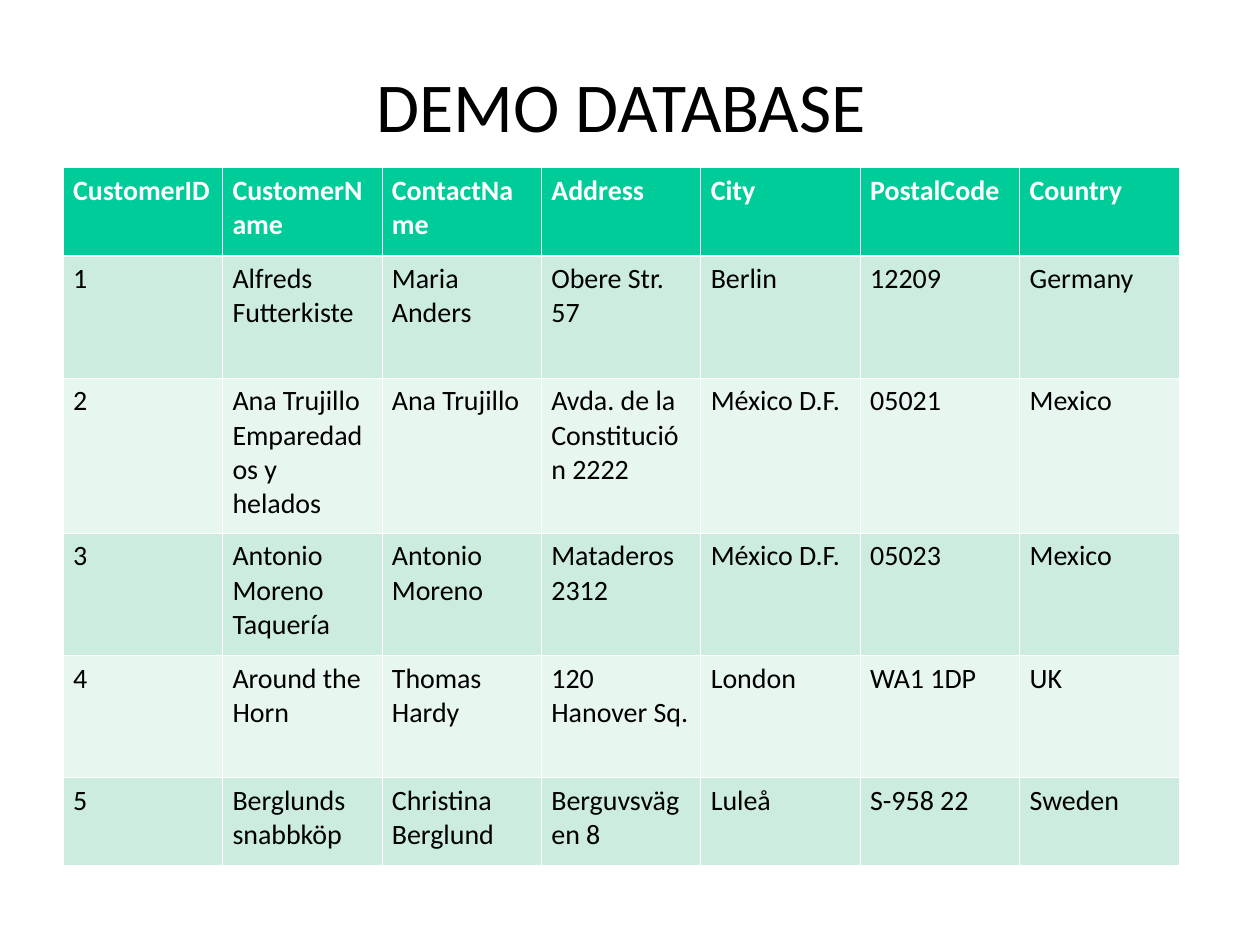
from lxml.etree import SubElement
from pptx import Presentation
from pptx.dml.color import RGBColor as RGB
from pptx.enum.text import MSO_ANCHOR as Anchor, PP_ALIGN as Align
from pptx.oxml.ns import qn
from pptx.util import Inches, Pt

TITLE = "DEMO DATABASE"
HEADER = ("CustomerID", "CustomerName", "ContactName", "Address", "City", "PostalCode", "Country")
CUSTOMERS = [
    ("1", "Alfreds Futterkiste", "Maria Anders", "Obere Str. 57", "Berlin", "12209", "Germany"),
    ("2", "Ana Trujillo Emparedados y helados", "Ana Trujillo",
     "Avda. de la Constitución 2222", "México D.F.", "05021", "Mexico"),
    ("3", "Antonio Moreno Taquería", "Antonio Moreno", "Mataderos 2312",
     "México D.F.", "05023", "Mexico"),
    ("4", "Around the Horn", "Thomas Hardy", "120 Hanover Sq.", "London", "WA1 1DP", "UK"),
    ("5", "Berglunds snabbköp", "Christina Berglund", "Berguvsvägen 8", "Luleå", "S-958 22", "Sweden"),
]
ROW_HEIGHTS = (0.7, 0.97, 1.23, 0.97, 0.97, 0.7)
LEFT, WIDTH = 0.5, 8.86
TITLE_TOP, TITLE_HEIGHT, TABLE_TOP = 0.3, 1.12, 1.33
COLORS = {"header": "00CC99", "odd": "CBECDE", "even": "E7F6EF", "white": "FFFFFF", "text": "000000"}
THIN, THICK = 0.45, 1.47
CELL = {"margin_left": Inches(0.08), "margin_right": Inches(0.08),
        "margin_top": Inches(0.05), "margin_bottom": Inches(0.05),
        "vertical_anchor": Anchor.TOP}


def style_font(font, size, color, bold=False):
    for key, value in {"name": "Calibri", "size": Pt(size), "bold": bold}.items():
        setattr(font, key, value)
    font.color.rgb = RGB.from_string(COLORS[color])


def add_border(cell, side, width):
    ln = SubElement(cell._tc.get_or_add_tcPr(), qn(f"a:ln{side}"), w=str(Pt(width)))
    SubElement(SubElement(ln, qn("a:solidFill")), qn("a:srgbClr"), val=COLORS["white"])


def fill_cell(cell, text, row):
    for key, value in CELL.items():
        setattr(cell, key, value)
    widths = {"L": THIN, "R": THIN, "T": THICK if row == 1 else THIN, "B": THICK if row == 0 else THIN}
    for side, width in widths.items():
        add_border(cell, side, width)
    cell.fill.solid()
    band = "header" if row == 0 else "odd" if row % 2 else "even"
    cell.fill.fore_color.rgb = RGB.from_string(COLORS[band])
    p = cell.text_frame.paragraphs[0]
    r = p.add_run()
    r.text = text
    style_font(r.font, 16, "white" if row == 0 else "text", row == 0)


def add_title(s):
    sp = s.shapes.title
    sp.left, sp.top, sp.width, sp.height = map(Inches, (LEFT, TITLE_TOP, WIDTH, TITLE_HEIGHT))
    tf = sp.text_frame
    tf.text = TITLE
    tf.vertical_anchor = Anchor.MIDDLE
    p = tf.paragraphs[0]
    p.alignment, p.line_spacing = Align.CENTER, 0.97
    style_font(p.runs[0].font, 40, "text")


def add_customers(s):
    rows = [HEADER, *CUSTOMERS]
    table = s.shapes.add_table(len(rows), len(HEADER), Inches(LEFT), Inches(TABLE_TOP),
                               Inches(WIDTH), Inches(sum(ROW_HEIGHTS))).table
    for column in table.columns:
        column.width = Inches(WIDTH / len(HEADER))
    for i, (values, height) in enumerate(zip(rows, ROW_HEIGHTS)):
        table.rows[i].height = Inches(height)
        for j, text in enumerate(values):
            fill_cell(table.cell(i, j), text, i)


def main():
    prs = Presentation()
    prs.slide_width, prs.slide_height = Inches(10), Inches(7.5)
    s = prs.slides.add_slide(prs.slide_layouts[5])
    add_title(s)
    add_customers(s)
    prs.save("out.pptx")


if __name__ == "__main__":
    main()
